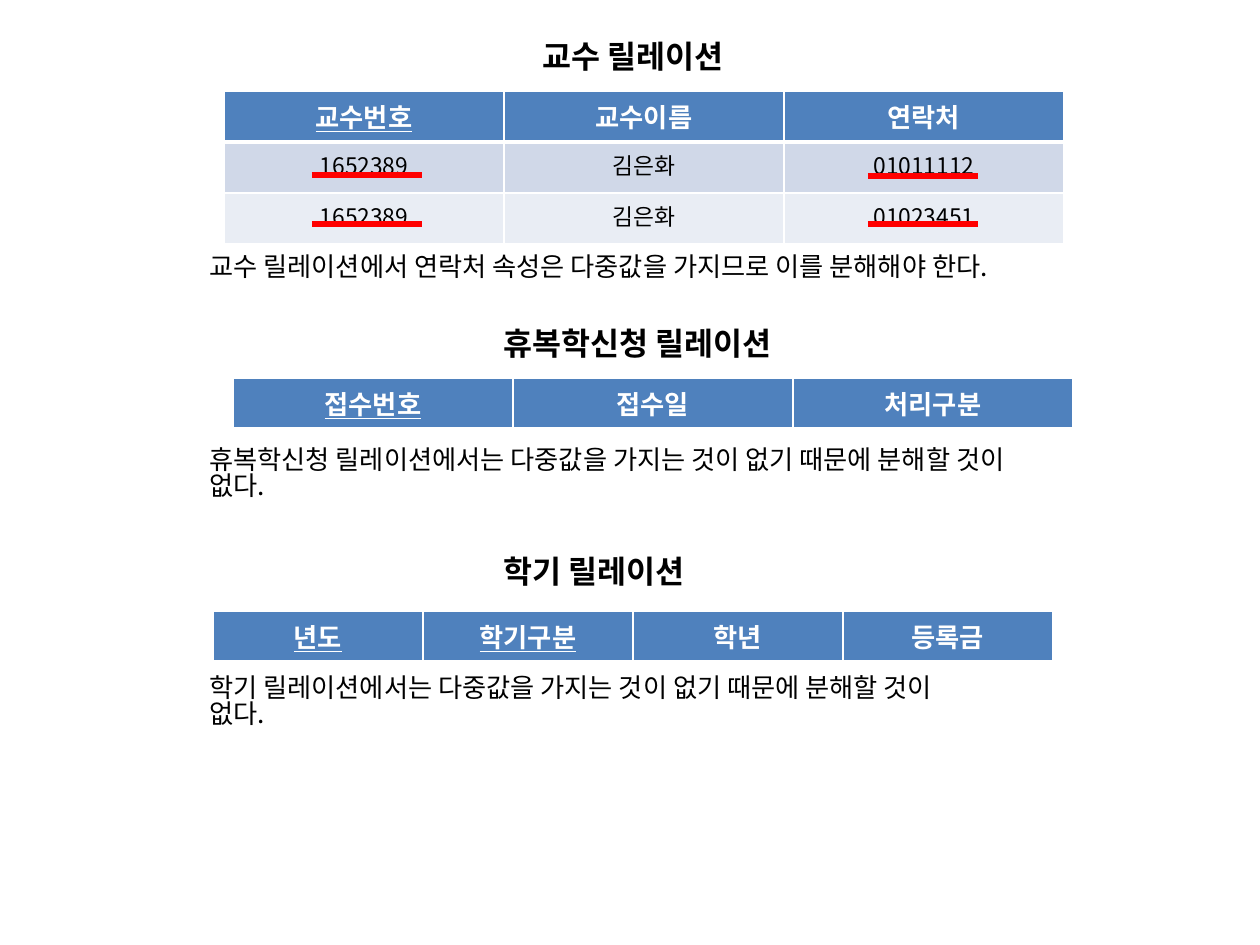
from lxml import etree
from pptx import Presentation
from pptx import util as u
from pptx.dml.color import RGBColor
from pptx.enum import shapes, text
from pptx.oxml import ns

SCALE = 914400 / 126
FONT = "Noto Sans CJK KR"
BLACK, WHITE, RED, BLUE = "000000", "FFFFFF", "FF0000", "4F81BD"
BANDS = ["D0D8E8", "E9EDF4"]
TABLE_WIDTH, ROW_HEIGHT = 840, 51
LINE_SPACING = 0.82

RELATIONS = [
    {
        "heading": ("교수 릴레이션", 530, 37, 228),
        "table": (224, 91),
        "columns": ["교수번호", "교수이름", "연락처"],
        "keys": 1,
        "rows": [["1652389", "김은화", "01011112"], ["1652389", "김은화", "01023451"]],
        "note": (["교수 릴레이션에서 연락처 속성은 다중값을 가지므로 이를 분해해야 한다."], 250, 901),
    },
    {
        "heading": ("휴복학신청 릴레이션", 491, 325, 323),
        "table": (233, 378),
        "columns": ["접수번호", "접수일", "처리구분"],
        "keys": 1,
        "rows": [],
        "note": (["휴복학신청 릴레이션에서는 다중값을 가지는 것이 없기 때문에 분해할 것이", "없다."], 443, 921),
    },
    {
        "heading": ("학기 릴레이션", 491, 553, 228),
        "table": (213, 611),
        "columns": ["년도", "학기구분", "학년", "등록금"],
        "keys": 2,
        "rows": [],
        "note": (["학기 릴레이션에서는 다중값을 가지는 것이 없기 때문에 분해할 것이", "없다."], 671, 842),
    },
]
NOTE_LEFT = 197
MARKS = [(312, 175), (312, 224), (868, 224), (868, 176)]
MARK_WIDTH = 110


def px(*lengths):
    return [u.Emu(round(length * SCALE)) for length in lengths]


def color(value):
    return RGBColor.from_string(value)


def format_paragraph(paragraph, size, value, bold=False, underline=False):
    for run in paragraph.runs:
        font = run.font
        font.name, font.size, font.bold = FONT, u.Pt(size), bold
        font.color.rgb = color(value)
        if underline:
            font.underline = True
        east_asian = etree.SubElement(run.font._element, ns.qn("a:ea"))
        east_asian.set("typeface", FONT)


def write_text(shape, box, lines, size, bold=False):
    shape.left, shape.top, shape.width, shape.height = px(*box)
    frame = shape.text_frame
    frame.text = "\n".join(lines)
    frame.word_wrap = False
    frame.auto_size = text.MSO_AUTO_SIZE.NONE
    frame.vertical_anchor = text.MSO_ANCHOR.TOP
    for paragraph in frame.paragraphs:
        paragraph.alignment = text.PP_ALIGN.LEFT
        paragraph.line_spacing = LINE_SPACING
        paragraph.space_before = u.Pt(0)
        format_paragraph(paragraph, size, BLACK, bold)


def add_borders(cell, top, bottom):
    properties = cell._tc.get_or_add_tcPr()
    for index, (side, width) in enumerate([("L", 1), ("R", 1), ("T", top), ("B", bottom)]):
        line = etree.Element(ns.qn(f"a:ln{side}"), w=str(u.Pt(width)))
        fill = etree.SubElement(line, ns.qn("a:solidFill"))
        etree.SubElement(fill, ns.qn("a:srgbClr"), val=WHITE)
        properties.insert(index, line)


def add_relation_table(slide, left, top, columns, rows, keys):
    records = [columns] + rows
    box = px(left, top, TABLE_WIDTH, ROW_HEIGHT * len(records))
    table = slide.shapes.add_table(len(records), len(columns), *box).table
    for row, record in enumerate(records):
        header = row == 0
        for column, value in enumerate(record):
            cell = table.cell(row, column)
            cell.text = value
            cell.fill.solid()
            cell.fill.fore_color.rgb = color(BLUE if header else BANDS[(row - 1) % 2])
            paragraph = cell.text_frame.paragraphs[0]
            paragraph.alignment = text.PP_ALIGN.CENTER
            format_paragraph(paragraph, 15 if header else 13, WHITE if header else BLACK,
                             header, header and column < keys)
            add_borders(cell, 3 if row == 1 else 1, 3 if header else 1)


def add_mark(slide, left, top):
    mark = slide.shapes.add_connector(
        shapes.MSO_CONNECTOR.STRAIGHT, *px(left, top, left + MARK_WIDTH, top))
    mark.line.color.rgb = color(RED)
    mark.line.width = u.Pt(3)
    etree.SubElement(mark._element.spPr, ns.qn("a:effectLst"))


presentation = Presentation()
presentation.slide_width, presentation.slide_height = px(1260, 945)
slide = presentation.slides.add_slide(presentation.slide_layouts[5])

for index, relation in enumerate(RELATIONS):
    heading, left, top, width = relation["heading"]
    shape = slide.shapes.title if index == 0 else slide.shapes.add_textbox(0, 0, 0, 0)
    write_text(shape, (left, top, width, 50), [heading], 18, True)
    add_relation_table(slide, *relation["table"], relation["columns"],
                       relation["rows"], relation["keys"])
    lines, top, width = relation["note"]
    write_text(slide.shapes.add_textbox(0, 0, 0, 0),
               (NOTE_LEFT, top, width, 13 + 32 * len(lines)), lines, 15)

for left, top in MARKS:
    add_mark(slide, left, top)

presentation.save("out.pptx")
